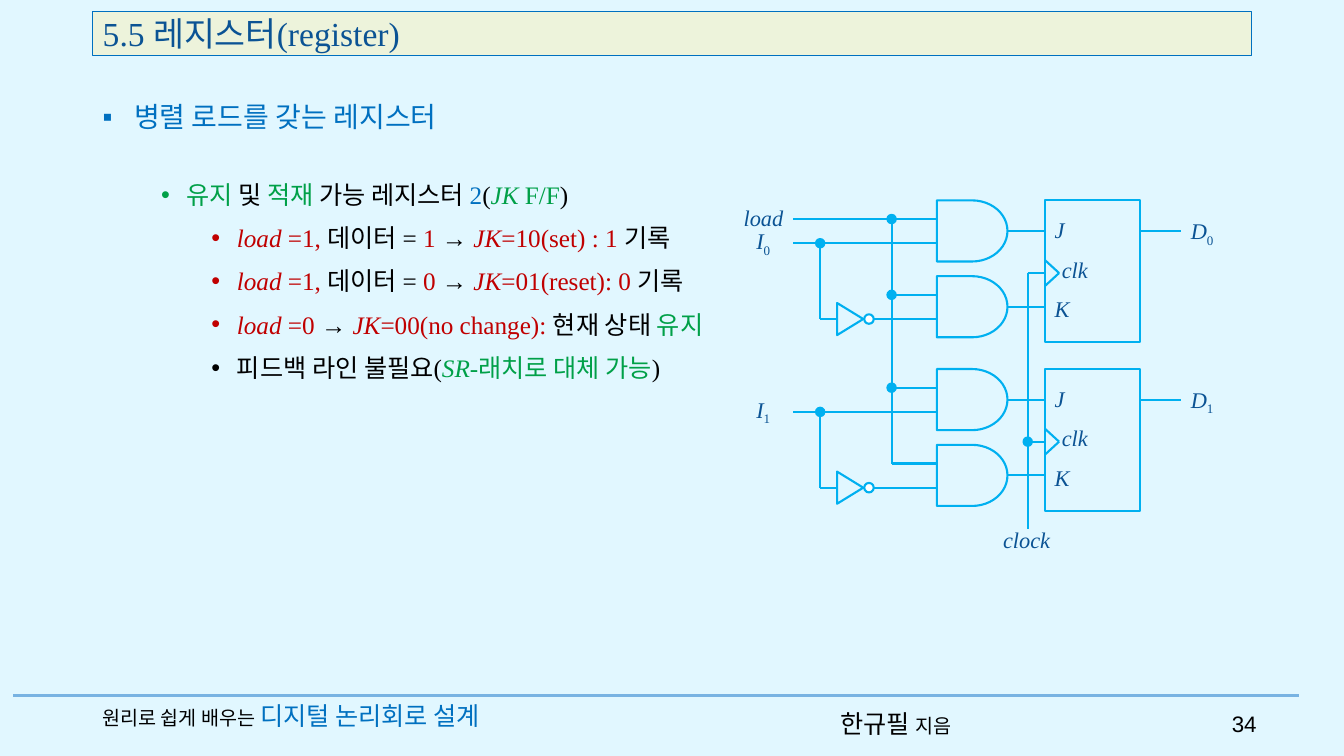
from dataclasses import dataclass

from lxml.etree import SubElement
from pptx import Presentation
from pptx.dml.color import RGBColor as RGB
from pptx.enum.shapes import MSO_CONNECTOR as Connector, MSO_SHAPE as Preset
from pptx.enum.text import MSO_ANCHOR as Anchor, MSO_AUTO_SIZE as AutoSize, PP_ALIGN as Align
from pptx.oxml.ns import qn
from pptx.util import Cm, Pt


@dataclass(frozen=True)
class Theme:
    sky: str = "E1F7FF"
    cream: str = "EDF3DB"
    white: str = "FFFFFF"
    rule: str = "78B3E2"
    wire: str = "00B0F0"
    navy: str = "0B5394"
    blue: str = "0070C0"
    green: str = "00A048"
    red: str = "C00000"
    black: str = "000000"
    serif: str = "Times New Roman"
    korean: str = "Noto Sans CJK KR"
    sans: str = "Arial"
    title: int = 24
    heading: int = 20
    body: int = 18
    label: int = 16
    small: int = 14
    wire_width: float = 1.5


@dataclass(frozen=True)
class Span:
    text: str
    color: str
    size: int
    italic: bool = False
    font: str = Theme.serif
    subscript: bool = False


THEME = Theme()


def write(paragraph, spans):
    for span in spans:
        run = paragraph.add_run()
        run.text = span.text
        run.font.name = span.font
        run.font.size = Pt(span.size)
        run.font.italic = span.italic
        run.font.color.rgb = RGB.from_string(span.color)
        properties = run.font._element
        SubElement(properties, qn("a:ea")).set("typeface", THEME.korean)
        if span.subscript:
            properties.set("baseline", "-25000")


def add_bullet(paragraph, mark, margin, hanging):
    properties = paragraph._p.get_or_add_pPr()
    properties.set("marL", str(Cm(margin)))
    properties.set("indent", str(-Cm(hanging)))
    SubElement(properties, qn("a:buFont")).set("typeface", THEME.sans)
    SubElement(properties, qn("a:buChar")).set("char", mark)


def add_text(shapes, box, spans, wrap=True, align=Align.LEFT, anchor=Anchor.TOP):
    frame = shapes.add_textbox(*map(Cm, box)).text_frame
    frame.word_wrap = wrap
    frame.auto_size = AutoSize.NONE
    frame.vertical_anchor = anchor
    frame.paragraphs[0].alignment = align
    write(frame.paragraphs[0], spans)
    return frame


def add_outline(shapes, preset, box, fill, line=THEME.wire, width=THEME.wire_width):
    outline = shapes.add_shape(preset, *map(Cm, box))
    outline.shadow.inherit = False
    outline.fill.solid()
    outline.fill.fore_color.rgb = RGB.from_string(fill)
    outline.line.color.rgb = RGB.from_string(line)
    outline.line.width = Pt(width)
    return outline


def add_wire(shapes, x1, y1, x2, y2, color=THEME.wire, width=THEME.wire_width):
    wire = shapes.add_connector(Connector.STRAIGHT, *map(Cm, (x1, y1, x2, y2)))
    wire.line.color.rgb = RGB.from_string(color)
    wire.line.width = Pt(width)
    SubElement(wire._element.spPr, qn("a:effectLst"))
    return wire


def add_circle(shapes, x, y, diameter, fill):
    add_outline(shapes, Preset.OVAL, (x - diameter / 2, y - diameter / 2, diameter, diameter), fill)


def add_label(shapes, x, y, width, name, index=""):
    spans = [Span(name, THEME.navy, THEME.label, italic=True)]
    if index:
        spans.append(Span(index, THEME.navy, THEME.label, subscript=True))
    add_text(shapes, (x, y, width, 0.94), spans, wrap=False)


def title_bar(shapes, box):
    bar = add_outline(shapes, Preset.RECTANGLE, box, THEME.cream, THEME.blue, 0.75)
    frame = bar.text_frame
    frame.vertical_anchor = Anchor.MIDDLE
    frame.paragraphs[0].alignment = Align.LEFT
    write(frame.paragraphs[0], [Span("5.5 레지스터(register)", THEME.navy, THEME.title)])


def heading(shapes, box):
    spans = [Span("병렬 로드를 갖는 레지스터", THEME.blue, THEME.heading, font=THEME.korean)]
    frame = add_text(shapes, box, spans)
    add_bullet(frame.paragraphs[0], "▪", 0.79, 0.79)


def explanation(shapes, box):
    black, blue, green, red = THEME.black, THEME.blue, THEME.green, THEME.red

    def load_case(data, result):
        return [("load ", red, True), ("=1, ", red), ("데이터 = ", black), (data, red),
                ("→ ", black), ("JK", red, True), (result, red), (" 기록", black)]

    points = [
        [("유지", green), (" 및 ", black), ("적재", green), (" 가능 레지스터 ", black),
         ("2", blue), ("(", black), ("JK", green, True), (" F/F", green), (")", black)],
        load_case("1 ", "=10(set) : 1"),
        load_case("0 ", "=01(reset): 0"),
        [("load ", red, True), ("=0 ", red), ("→ ", black), ("JK", red, True),
         ("=00(no change): ", red), ("현재 상태 ", black), ("유지", green)],
        [("피드백 라인 불필요(", black), ("SR", green, True),
         ("-래치로 대체 가능", green), (")", black)],
    ]
    frame = add_text(shapes, box, [])
    for number, point in enumerate(points):
        paragraph = frame.add_paragraph() if number else frame.paragraphs[0]
        paragraph.level = 2 if number else 1
        paragraph.line_spacing = 1.2
        if number:
            paragraph.space_before = Pt(5)
        add_bullet(paragraph, "•", 3.18 if number else 1.91, 0.64)
        write(paragraph, [Span(text, color, THEME.body, *italic) for text, color, *italic in point])


def register_stage(shapes, left, top, index):
    def wire(x1, y1, x2, y2):
        return add_wire(shapes, left + x1, top + y1, left + x2, top + y2)

    def outline(preset, x, y, width, height):
        return add_outline(shapes, preset, (left + x, top + y, width, height), THEME.sky)

    def label(x, y, width, name, subscript=""):
        add_label(shapes, left + x, top + y, width, name, subscript)

    outline(Preset.RECTANGLE, 7.84, 0, 2.41, 3.58)
    for gate_top in (0, 1.91):
        wire(3.98, gate_top + 0.47, 5.2, gate_top + 0.47)
        wire(1.5 if gate_top == 0 else 2.18, gate_top + 1.08, 5.2, gate_top + 1.08)
        gate = outline(Preset.FLOWCHART_DELAY, 5.12, gate_top, 1.78, 1.54)
        wire(6.9, gate_top + 0.77, 7.84, gate_top + 0.77).begin_connect(gate, 3)
    wire(10.25, 0.77, 11.27, 0.77)
    wire(7.41, 1.83, 7.84, 1.83)
    for notch in (1.5, 2.16):
        wire(7.84, notch, 8.2, 1.83)
    wire(2.18, 1.08, 2.18, 2.99)
    add_circle(shapes, left + 2.18, top + 1.08, 0.21, THEME.wire)
    add_circle(shapes, left + 3.98, top + 0.47, 0.21, THEME.wire)
    inverter = outline(Preset.ISOSCELES_TRIANGLE, 2.53, 2.66, 0.81, 0.66)
    inverter.rotation = 90
    add_circle(shapes, left + 3.41, top + 2.99, 0.24, THEME.white)
    label(7.84, 0.27, 0.76, "J")
    label(8.02, 1.27, 1.17, "clk")
    label(7.84, 2.26, 0.89, "K")
    label(0.32, 0.55, 0.89, "I", index)
    label(11.27, 0.3, 1.12, "D", index)


def register_circuit(slide, left, top, pitch):
    shapes = slide.shapes.add_group_shape().shapes
    bus, clock = left + 3.98, left + 7.41
    add_wire(shapes, left + 1.5, top + 0.47, bus, top + 0.47)
    add_wire(shapes, bus, top + 0.47, bus, top + pitch + 2.38)
    for number in range(2):
        register_stage(shapes, left, top + number * pitch, str(number))
    add_wire(shapes, clock, top + 1.83, clock, top + 8.28)
    add_circle(shapes, bus, top + 2.38, 0.21, THEME.wire)
    add_circle(shapes, clock, top + pitch + 1.83, 0.21, THEME.wire)
    add_label(shapes, left, top - 0.03, 1.52, "load")
    add_label(shapes, left + 6.54, top + 8.08, 1.73, "clock")


def footer(shapes, left, top):
    add_wire(shapes, left, top, left + 32.41, top, THEME.rule, 2.5)
    add_text(shapes, (left + 2, top, 11.76, 1.02), [
        Span("원리로 쉽게 배우는 ", THEME.black, THEME.small),
        Span("디지털 논리회로 설계", THEME.blue, THEME.body)])
    add_text(shapes, (left + 20.6, top + 0.2, 3.89, 1.02), [
        Span("한규필 ", THEME.black, THEME.body, font=THEME.korean),
        Span("지음", THEME.black, THEME.small, font=THEME.korean)])
    add_text(shapes, (left + 30.02, top + 0.2, 1.57, 1.02),
             [Span("34", THEME.black, THEME.label, font=THEME.sans)],
             align=Align.RIGHT, anchor=Anchor.MIDDLE)


def main():
    deck = Presentation()
    deck.slide_width, deck.slide_height = Cm(33.87), Cm(19.05)
    slide = deck.slides.add_slide(deck.slide_layouts[6])
    slide.background.fill.solid()
    slide.background.fill.fore_color.rgb = RGB.from_string(THEME.sky)
    footer(slide.shapes, 0.33, 17.53)
    title_bar(slide.shapes, (2.34, 0.3, 29.21, 1.09))
    heading(slide.shapes, (2.34, 2.39, 29.21, 1.12))
    explanation(slide.shapes, (2.54, 4.24, 15.95, 10.46))
    register_circuit(slide, 18.49, 5.05, 4.25)
    deck.save("out.pptx")


if __name__ == "__main__":
    main()
